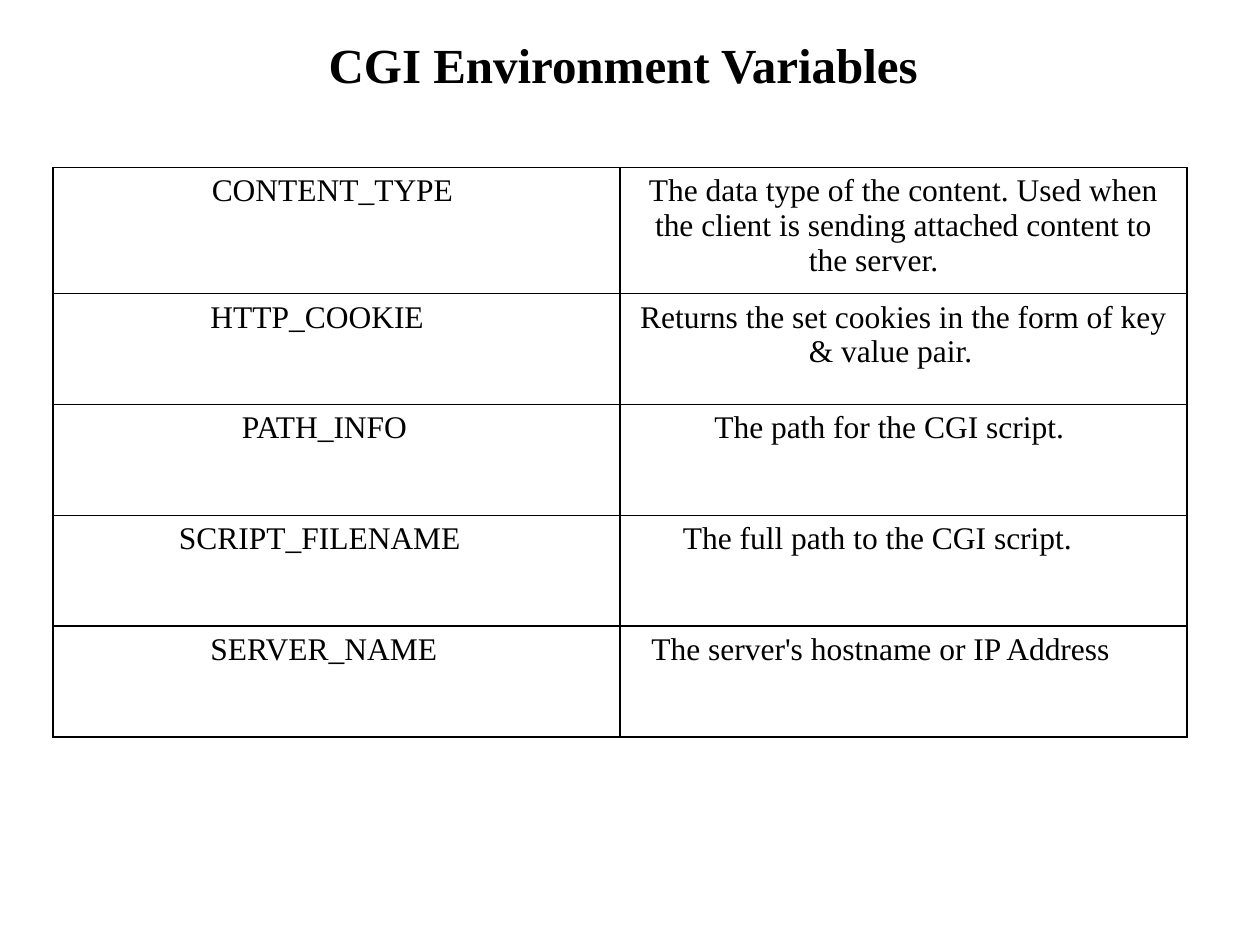
from dataclasses import dataclass

import pptx
import pptx.dml.color
import pptx.enum.text
import pptx.oxml
import pptx.oxml.ns
import pptx.util
from pptx.util import Inches


@dataclass(frozen=True)
class Theme:
    """Colours and type of the slide."""
    font: str = "Times New Roman"
    ink: str = "000000"
    title_size: int = 28
    cell_size: int = 18
    border_width: int = 1


THEME = Theme()

VARIABLES = [
    ("CONTENT_TYPE ", "The data type of the content. Used when the client is "
                      "sending attached content to the server. \t"),
    ("HTTP_COOKIE \t", "Returns the set cookies in the form of key & value pair. \t"),
    ("PATH_INFO \t", "The path for the CGI script. \t"),
    ("SCRIPT_FILENAME \t", "The full path to the CGI script. \t"),
    ("SERVER_NAME \t", "The server's hostname or IP Address \t"),
]


def write_centred(frame, text, size, bold=False):
    """Fill a text frame with one centred paragraph."""
    frame.word_wrap = True
    paragraph = frame.paragraphs[0]
    paragraph.text = text
    paragraph.alignment = pptx.enum.text.PP_ALIGN.CENTER
    paragraph.font.name = THEME.font
    paragraph.font.size = pptx.util.Pt(size)
    paragraph.font.bold = bold
    paragraph.font.color.rgb = pptx.dml.color.RGBColor.from_string(THEME.ink)


def add_title(slide, text):
    """Add the heading above the table."""
    heading = slide.shapes.add_textbox(Inches(1.08), Inches(0.17), Inches(7.83), Inches(0.67))
    heading.text_frame.vertical_anchor = pptx.enum.text.MSO_ANCHOR.MIDDLE
    write_centred(heading.text_frame, text, THEME.title_size, bold=True)


def outline_cell(cell):
    """Draw a solid border on all four sides of an unfilled cell."""
    properties = cell._tc.get_or_add_tcPr()
    width = pptx.util.Pt(THEME.border_width)
    for side in ("lnL", "lnR", "lnT", "lnB"):
        properties.append(pptx.oxml.parse_xml(
            f'<a:{side} {pptx.oxml.ns.nsdecls("a")} w="{width}"><a:solidFill>'
            f'<a:srgbClr val="{THEME.ink}"/></a:solidFill></a:{side}>'))
    cell.fill.background()


def add_variable_table(slide, variables):
    """Add the table of variable names and meanings."""
    row_height = Inches(0.88)
    table = slide.shapes.add_table(len(variables), 2, Inches(0.42), Inches(1.33),
                                   Inches(9), row_height * len(variables)).table
    table.first_row = False
    table.horz_banding = False
    for row, entry in zip(table.rows, variables):
        row.height = row_height
        for cell, text in zip(row.cells, entry):
            write_centred(cell.text_frame, text, THEME.cell_size)
            outline_cell(cell)


def main():
    """Build the slide and save it."""
    presentation = pptx.Presentation()
    presentation.slide_width = Inches(10)
    presentation.slide_height = Inches(7.5)
    slide = presentation.slides.add_slide(presentation.slide_layouts[6])
    add_title(slide, "CGI Environment Variables ")
    add_variable_table(slide, VARIABLES)
    presentation.save("out.pptx")


if __name__ == "__main__":
    main()
